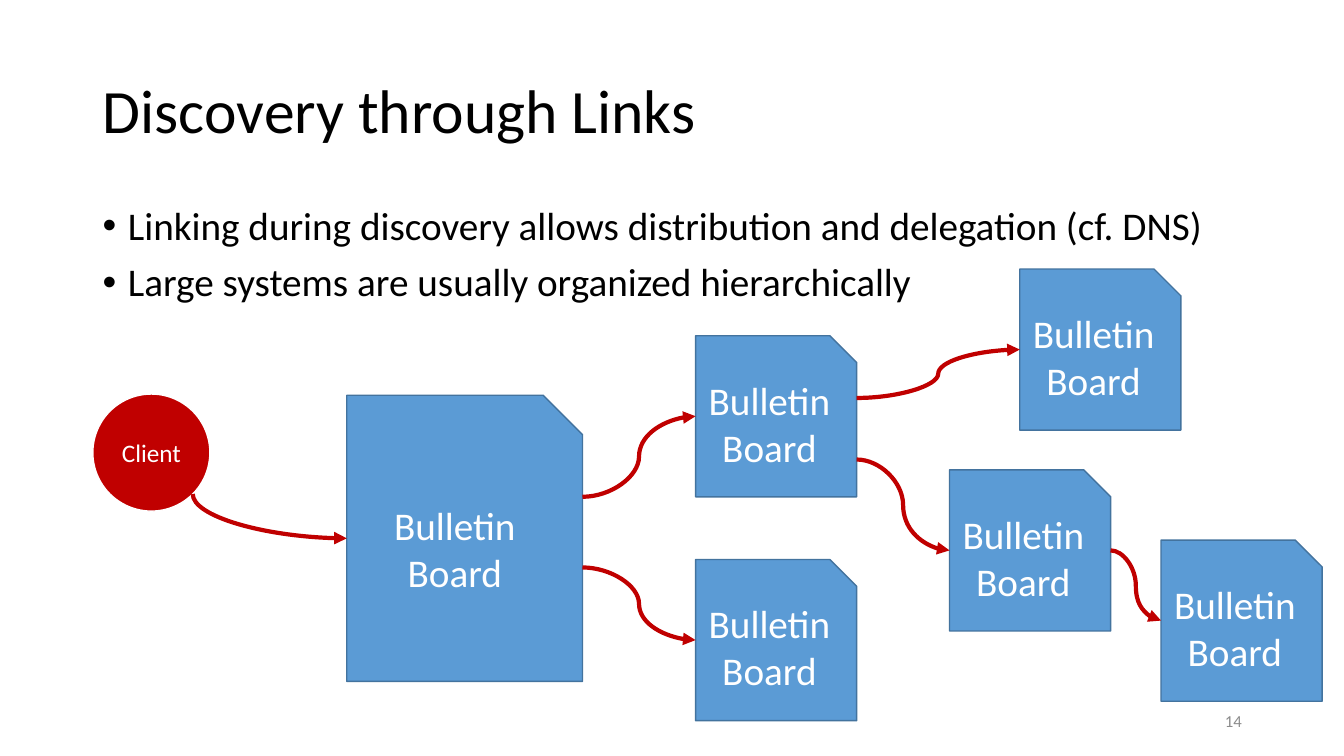
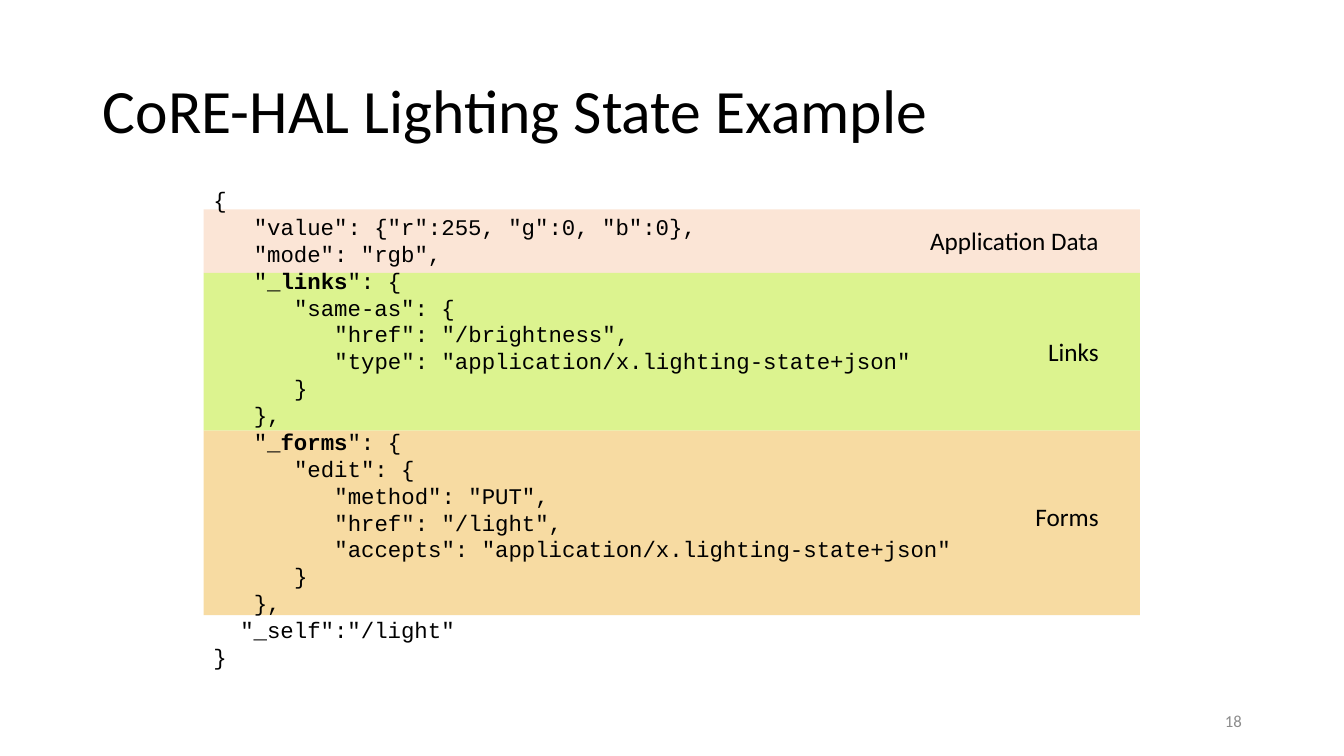
import math
from dataclasses import dataclass
from typing import NamedTuple

from lxml import etree
from pptx import Presentation
from pptx.dml.color import RGBColor
from pptx.enum import shapes, text
from pptx.oxml.ns import qn
from pptx.util import Cm, Pt

BLACK, WHITE, GREY = "000000", "FFFFFF", "8C8C8C"
RED, BLUE, DARK_BLUE = "C00000", "5B9BD5", "43739E"
BODY_FONT, CODE_FONT = "Calibri", "Courier New"
CODE_SIZE = 16
CODE_COLUMN = CODE_SIZE * 0.6
LEFT, CENTER, RIGHT = text.PP_ALIGN.LEFT, text.PP_ALIGN.CENTER, text.PP_ALIGN.RIGHT


class Box(NamedTuple):
    left: float
    top: float
    width: float
    height: float

    def lengths(self) -> tuple:
        return tuple(Cm(value) for value in self)


@dataclass(frozen=True)
class Link:
    source: str
    drop: float
    target: str


@dataclass(frozen=True)
class Band:
    label: str
    fill: str
    height: float
    label_top: float
    label_width: float


class CodeLine(NamedTuple):
    columns: int
    code: str


TITLE = Box(2.34, 1.02, 29.21, 3.68)
BULLETS = Box(2.34, 5.08, 29.21, 12.09)
PAGE_NUMBER = Box(23.93, 17.65, 7.62, 1.02)
CLIENT = Box(2.34, 9.93, 2.95, 2.95)
CODE = Box(5.13, 4.57, 23.6, 12.57)
BANDS_TOP = 5.28
LABELS_RIGHT = 27.94
SMALL = 4.06

DISCOVERY_POINTS = (
    "Linking during discovery allows distribution and delegation (cf. DNS)",
    "Large systems are usually organized hierarchically",
)
BOARDS = {
    "root": Box(8.74, 9.96, 5.94, 7.21),
    "upper": Box(17.53, 8.46, SMALL, SMALL),
    "lower": Box(17.53, 14.1, SMALL, SMALL),
    "middle": Box(23.93, 11.84, SMALL, SMALL),
    "top": Box(25.7, 6.78, SMALL, SMALL),
    "last": Box(29.26, 13.61, SMALL, SMALL),
}
LINKS = (
    Link("root", 2.56, "upper"),
    Link("root", 4.34, "lower"),
    Link("upper", 1.57, "top"),
    Link("upper", 3.12, "middle"),
    Link("middle", SMALL / 2, "last"),
)
BANDS = (
    Band("Application Data", "FBE5D6", 1.6, 5.56, 4.83),
    Band("Links", "DCF38F", 3.97, 8.36, 1.8),
    Band("Forms", "F7DBA2", 4.65, 12.52, 2.11),
)
LIGHTING_STATE = (
    CodeLine(0, '{'),
    CodeLine(3, '"value": {"r":255, "g":0, "b":0},'),
    CodeLine(3, '"mode": "rgb",'),
    CodeLine(3, '"*_links*": {'),
    CodeLine(6, '"same-as": {'),
    CodeLine(9, '"href": "/brightness",'),
    CodeLine(9, '"type": "application/x.lighting-state+json"'),
    CodeLine(6, '}'),
    CodeLine(3, '},'),
    CodeLine(3, '"*_forms*": {'),
    CodeLine(6, '"edit": {'),
    CodeLine(9, '"method": "PUT",'),
    CodeLine(9, '"href": "/light",'),
    CodeLine(9, '"accepts": "application/x.lighting-state+json"'),
    CodeLine(6, '}'),
    CodeLine(3, '},'),
    CodeLine(2, '"_self":"/light"'),
    CodeLine(0, '}'),
)


def rgb(value: str) -> RGBColor:
    return RGBColor.from_string(value)


def style(paragraph, size: float, color: str = BLACK, align=LEFT, font: str = BODY_FONT) -> None:
    paragraph.alignment = align
    paragraph.font.name = font
    paragraph.font.size = Pt(size)
    paragraph.font.color.rgb = rgb(color)


def indent(paragraph, margin: int, first: int = 0) -> None:
    properties = paragraph._p.get_or_add_pPr()
    properties.set("marL", str(margin))
    properties.set("indent", str(first))


def paragraphs(frame, count: int) -> list:
    return [frame.paragraphs[0]] + [frame.add_paragraph() for _ in range(count - 1)]


def add_text_frame(slide, box: Box, wrap: bool = True):
    frame = slide.shapes.add_textbox(*box.lengths()).text_frame
    frame.word_wrap = wrap
    return frame


def add_titled_slide(deck, title: str, number: str):
    slide = deck.slides.add_slide(deck.slide_layouts[5])
    heading = slide.shapes.title
    heading.left, heading.top, heading.width, heading.height = TITLE.lengths()
    frame = heading.text_frame
    frame.text = title
    frame.auto_size = text.MSO_AUTO_SIZE.NONE
    frame.vertical_anchor = text.MSO_ANCHOR.MIDDLE
    style(frame.paragraphs[0], 44)
    frame.paragraphs[0].line_spacing = 0.9

    page = add_text_frame(slide, PAGE_NUMBER)
    page.text = number
    page.vertical_anchor = text.MSO_ANCHOR.MIDDLE
    style(page.paragraphs[0], 12, GREY, RIGHT)
    return slide


def add_bullets(slide, points: tuple) -> None:
    frame = add_text_frame(slide, BULLETS)
    for paragraph, point in zip(paragraphs(frame, len(points)), points):
        paragraph.text = point
        style(paragraph, 28)
        paragraph.line_spacing = 0.9
        paragraph.space_before = Pt(10)
        indent(paragraph, Pt(18), -Pt(18))
        properties = paragraph._p.get_or_add_pPr()
        bullet_font = etree.Element(qn("a:buFont"), typeface="Arial")
        bullet = etree.Element(qn("a:buChar"), char="•")
        default_run = properties.find(qn("a:defRPr"))
        default_run.addprevious(bullet_font)
        default_run.addprevious(bullet)


def add_node(slide, kind, box: Box, fill: str, line: str = "", label: str = "", size: float = 18):
    node = slide.shapes.add_shape(kind, *box.lengths())
    node.shadow.inherit = False
    node.fill.solid()
    node.fill.fore_color.rgb = rgb(fill)
    if line:
        node.line.color.rgb = rgb(line)
        node.line.width = Pt(1)
    else:
        node.line.fill.background()
    if label:
        node.text_frame.text = label
        node.text_frame.vertical_anchor = text.MSO_ANCHOR.MIDDLE
        style(node.text_frame.paragraphs[0], size, WHITE, CENTER)
    return node


def add_arrow(slide, x: float, y: float, target: Box):
    arrow = slide.shapes.add_connector(
        shapes.MSO_CONNECTOR.CURVE,
        Cm(x), Cm(y), Cm(target.left), Cm(target.top + target.height / 2),
    )
    arrow.line.color.rgb = rgb(RED)
    arrow.line.width = Pt(3)
    properties = arrow.element.spPr
    etree.SubElement(properties.find(qn("a:ln")), qn("a:tailEnd"), type="triangle")
    etree.SubElement(properties, qn("a:effectLst"))
    return arrow


def start_downwards(arrow) -> None:
    center_x = arrow.left + arrow.width // 2
    center_y = arrow.top + arrow.height // 2
    arrow.width, arrow.height = arrow.height, arrow.width
    arrow.left = center_x - arrow.width // 2
    arrow.top = center_y - arrow.height // 2
    properties = arrow.element.spPr
    properties.find(qn("a:prstGeom")).set("prst", "curvedConnector2")
    frame = properties.find(qn("a:xfrm"))
    frame.set("rot", "16200000")
    frame.set("flipH", "1")


def build_discovery(deck) -> None:
    slide = add_titled_slide(deck, "Discovery through Links", "14")
    add_bullets(slide, DISCOVERY_POINTS)
    add_node(slide, shapes.MSO_SHAPE.OVAL, CLIENT, RED, WHITE, "Client")
    boards = {
        name: add_node(slide, shapes.MSO_SHAPE.SNIP_1_RECTANGLE, box, BLUE, DARK_BLUE,
                       "Bulletin Board", 28)
        for name, box in BOARDS.items()
    }
    reach = CLIENT.width / 2 * (1 + math.sqrt(0.5))
    start_downwards(add_arrow(slide, CLIENT.left + reach, CLIENT.top + reach, BOARDS["root"]))
    for link in LINKS:
        source = BOARDS[link.source]
        arrow = add_arrow(slide, source.left + source.width, source.top + link.drop,
                          BOARDS[link.target])
        arrow.end_connect(boards[link.target], 1)


def build_lighting_state(deck) -> None:
    slide = add_titled_slide(deck, "CoRE-HAL Lighting State Example", "18")
    top = BANDS_TOP
    for band in BANDS:
        add_node(slide, shapes.MSO_SHAPE.RECTANGLE,
                 Box(CODE.left, top, CODE.width, band.height), band.fill)
        top += band.height

    listing = add_text_frame(slide, CODE)
    for paragraph, line in zip(paragraphs(listing, len(LIGHTING_STATE)), LIGHTING_STATE):
        style(paragraph, CODE_SIZE, font=CODE_FONT)
        indent(paragraph, Pt(line.columns * CODE_COLUMN))
        for position, piece in enumerate(line.code.split("*")):
            run = paragraph.add_run()
            run.text = piece
            if position % 2:
                run.font.bold = True

    for band in BANDS:
        label = add_text_frame(
            slide,
            Box(LABELS_RIGHT - band.label_width, band.label_top, band.label_width, 1.02),
            wrap=False,
        )
        label.text = band.label
        style(label.paragraphs[0], 18, align=RIGHT)


def main() -> None:
    deck = Presentation()
    deck.slide_width, deck.slide_height = Cm(33.87), Cm(19.05)
    build_discovery(deck)
    build_lighting_state(deck)
    deck.save("out.pptx")


if __name__ == "__main__":
    main()
